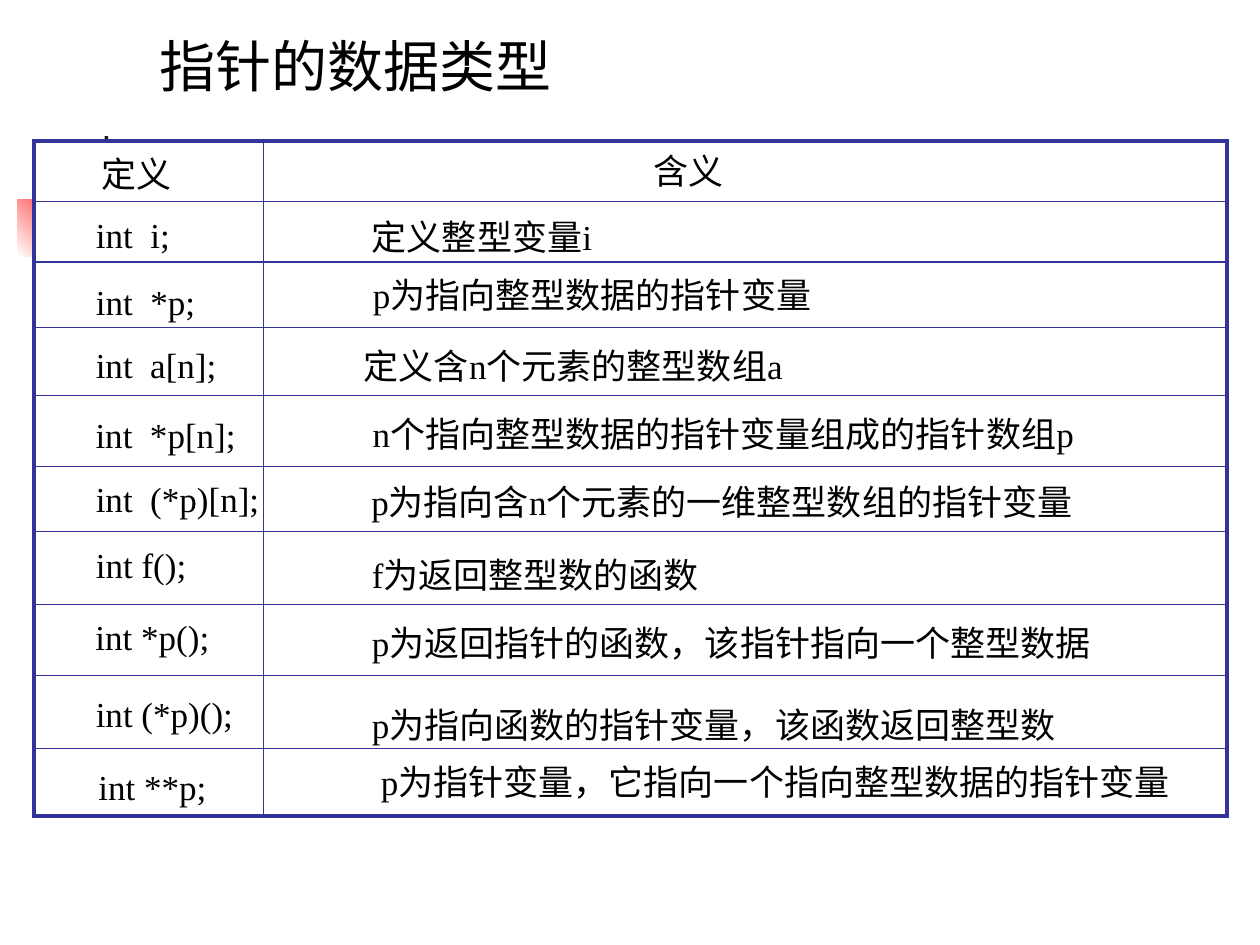
"""Build a slide listing C pointer declarations and their meanings."""
from pptx import Presentation
from pptx.dml.color import RGBColor
from pptx.enum.shapes import MSO_CONNECTOR, MSO_SHAPE
from pptx.enum.text import MSO_ANCHOR, MSO_AUTO_SIZE, PP_ALIGN
from pptx.oxml.ns import qn
from pptx.util import Inches, Pt
from lxml import etree

RECT = MSO_SHAPE.RECTANGLE
STRAIGHT = MSO_CONNECTOR.STRAIGHT
CENTER, LEFT = PP_ALIGN.CENTER, PP_ALIGN.LEFT
MIDDLE, BOTTOM = MSO_ANCHOR.MIDDLE, MSO_ANCHOR.BOTTOM
GROW = MSO_AUTO_SIZE.SHAPE_TO_FIT_TEXT
COLORS = {"grid": "333399", "text": "000000", "paper": "FFFFFF",
          "red": "FF0000", "bar": "1C1C1C"}
C = {name: RGBColor.from_string(value) for name, value in COLORS.items()}

X0, X1, SPLIT = 0.27, 9.74, 2.09
Y0, Y1 = 1.12, 6.48
RULES = [1.6, 2.08, 2.6, 3.14, 3.7, 4.22, 4.8, 5.36, 5.94]
ROW_H = 0.44

DEFINITIONS = [
    (0.71, 1.16, 0.75, "定义"),
    (0.66, 1.64, 0.79, "int  i;"),
    (0.66, 2.17, 0.99, "int  *p;"),
    (0.66, 2.67, 1.16, "int  a[n];"),
    (0.66, 3.23, 1.31, "int  *p[n];"),
    (0.66, 3.74, 1.5, "int  (*p)[n];"),
    (0.66, 4.26, 0.92, "int f();"),
    (0.66, 4.83, 1.1, "int *p();"),
    (0.66, 5.44, 1.29, "int (*p)();"),
    (0.68, 6.02, 1.06, "int **p;"),
]
MEANINGS = [
    (5.09, 1.13, 0.75, "含义"),
    (2.82, 1.66, 2.01, "定义整型变量i"),
    (2.83, 2.12, 3.74, "p为指向整型数据的指针变量"),
    (2.69, 2.68, 3.72, "定义含n个元素的整型数组a"),
    (2.79, 3.22, 5.9, "n个指向整型数据的指针变量组成的指针数组p"),
    (2.75, 3.76, 5.96, "p为指向含n个元素的一维整型数组的指针变量"),
    (2.82, 4.34, 2.86, "f为返回整型数的函数"),
    (2.82, 4.88, 5.97, "p为返回指针的函数，该指针指向一个整型数据"),
    (2.82, 5.53, 5.69, "p为指向函数的指针变量，该函数返回整型数"),
    (2.89, 5.98, 6.53, "p为指针变量，它指向一个指向整型数据的指针变量"),
]


def add_rect(x, y, w, h):
    sp = s.shapes.add_shape(RECT, Inches(x), Inches(y), Inches(w), Inches(h))
    sp.shadow.inherit = False
    sp.line.fill.background()
    return sp


def add_text(x, y, w, h, text, size, font, align, anchor):
    sp = s.shapes.add_textbox(Inches(x), Inches(y), Inches(w), Inches(h))
    tf = sp.text_frame
    tf.vertical_anchor = anchor
    p = tf.paragraphs[0]
    p.text = text
    p.alignment = align
    p.font.size = Pt(size)
    p.font.name = font
    p.font.color.rgb = C["text"]
    return tf


prs = Presentation()
prs.slide_width, prs.slide_height = Inches(10), Inches(7.5)
s = prs.slides.add_slide(prs.slide_layouts[6])

accent = add_rect(0.14, 1.58, 0.61, 0.46)
accent.fill.gradient()
accent.fill.gradient_angle = 45
for stop, name in zip(accent.fill.gradient_stops, ("paper", "red")):
    stop.color.rgb = C[name]

bar = add_rect(0.83, 1.08, 0.03, 1.15)
bar.fill.solid()
bar.fill.fore_color.rgb = C["bar"]

frame = add_rect(X0, Y0, X1 - X0, Y1 - Y0)
frame.fill.solid()
frame.fill.fore_color.rgb = C["paper"]
frame.line.color.rgb = C["grid"]
frame.line.width = Pt(2.25)
etree.SubElement(frame.line._get_or_add_ln(), qn("a:miter"), lim="800000")

segments = [(X0, y, X1, y) for y in RULES] + [(SPLIT, Y0, SPLIT, Y1)]
for segment in segments:
    line = s.shapes.add_connector(STRAIGHT, *map(Inches, segment))
    line.line.color.rgb = C["grid"]
    line.line.width = Pt(0.75)
    etree.SubElement(line._element.spPr, qn("a:effectLst"))

for x, y, w, text in DEFINITIONS + MEANINGS:
    tf = add_text(x, y, w, ROW_H, text, 20, "Times New Roman", CENTER, MIDDLE)
    tf.margin_left = tf.margin_right = Inches(0.05)
    tf.word_wrap = False
    tf.auto_size = GROW

title = add_text(1.17, 0.42, 8.5, 0.41, "指针的数据类型", 32, "Lato", LEFT, BOTTOM)
title.word_wrap = True

prs.save("out.pptx")
